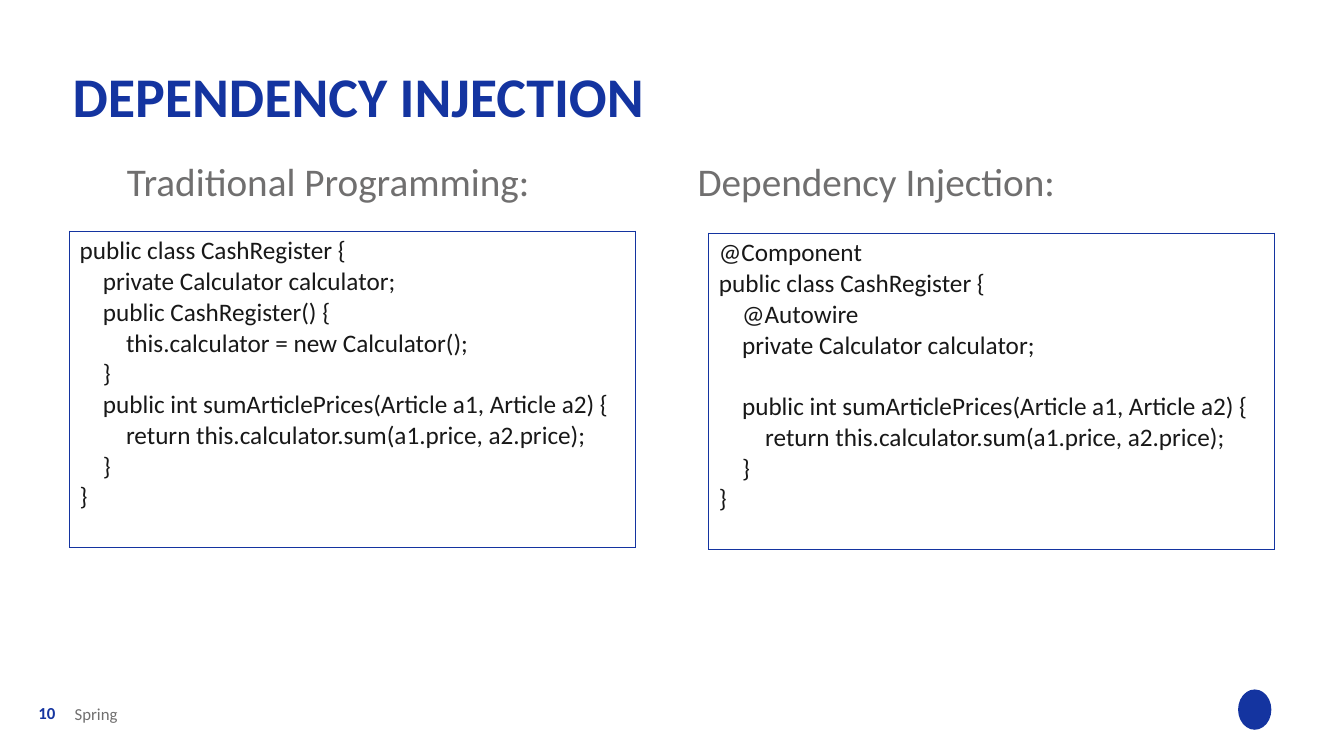
from dataclasses import dataclass

from lxml.etree import SubElement
from pptx import Presentation
from pptx.dml.color import RGBColor
from pptx.enum.shapes import MSO_SHAPE
from pptx.enum.text import MSO_ANCHOR
from pptx.oxml.ns import qn
from pptx.util import Inches, Pt


@dataclass(frozen=True)
class Theme:
    font: str = "Calibri"
    blue: RGBColor = RGBColor(0x14, 0x34, 0xA0)
    grey: RGBColor = RGBColor(0x70, 0x6F, 0x6F)
    ink: RGBColor = RGBColor(0x18, 0x18, 0x18)
    white: RGBColor = RGBColor(0xFF, 0xFF, 0xFF)
    title_size: Pt = Pt(40)
    heading_size: Pt = Pt(28)
    code_size: Pt = Pt(18)
    footer_size: Pt = Pt(12)
    border_width: Pt = Pt(0.5)
    code_indent: Inches = Inches(0.23)
    code_gap: Pt = Pt(22)


THEME = Theme()

# Each code line is (indent level, text); None leaves a one-line gap
SUM_METHOD = [
    (1, "public int sumArticlePrices(Article a1, Article a2) {"),
    (2, "return this.calculator.sum(a1.price, a2.price);"),
    (1, "}"),
    (0, "}"),
]
TRADITIONAL_CODE = [
    (0, "public class CashRegister {"),
    (1, "private Calculator calculator;"),
    (1, "public CashRegister() {"),
    (2, "this.calculator = new Calculator();"),
    (1, "}"),
    *SUM_METHOD,
]
INJECTION_CODE = [
    (0, "@Component"),
    (0, "public class CashRegister {"),
    (1, "@Autowire"),
    (1, "private Calculator calculator;"),
    None,
    *SUM_METHOD,
]


def add_run(paragraph, text, size, color, bold=False):
    run = paragraph.add_run()
    run.text = text
    run.font.name = THEME.font
    run.font.size = size
    run.font.bold = bold
    run.font.color.rgb = color


def add_label(slide, box, text, size, color, bold=False,
              anchor=MSO_ANCHOR.MIDDLE, line_spacing=None):
    shape = slide.shapes.add_textbox(*map(Inches, box))
    frame = shape.text_frame
    frame.word_wrap = True
    frame.vertical_anchor = anchor
    frame.margin_left = frame.margin_right = 0
    frame.margin_top = frame.margin_bottom = 0
    paragraph = frame.paragraphs[0]
    paragraph.line_spacing = line_spacing
    add_run(paragraph, text, size, color, bold)


def set_borders(cell):
    properties = cell._tc.get_or_add_tcPr()
    for position, side in enumerate(("lnL", "lnR", "lnT", "lnB")):
        line = SubElement(properties, qn(f"a:{side}"), w=str(int(THEME.border_width)))
        fill = SubElement(line, qn("a:solidFill"))
        SubElement(fill, qn("a:srgbClr"), val=str(THEME.blue))
        properties.insert(position, line)


def add_code_table(slide, left, top, code):
    table = slide.shapes.add_table(
        1, 1, Inches(left), Inches(top), Inches(5.61), Inches(3.14)).table
    table.first_row = False
    table.horz_banding = False
    cell = table.cell(0, 0)
    cell.fill.solid()
    cell.fill.fore_color.rgb = THEME.white
    set_borders(cell)

    paragraph = cell.text_frame.paragraphs[0]
    gap_before = False
    for index, line in enumerate(code):
        if line is None:
            gap_before = True
            continue
        if index:
            paragraph = cell.text_frame.add_paragraph()
        level, text = line
        paragraph._p.get_or_add_pPr().set("marL", str(level * THEME.code_indent))
        if gap_before:
            paragraph.space_before = THEME.code_gap
            gap_before = False
        add_run(paragraph, text, THEME.code_size, THEME.ink)


def add_brand_mark(slide):
    mark = slide.shapes.add_shape(
        MSO_SHAPE.OVAL, Inches(12.28), Inches(6.84), Inches(0.33), Inches(0.4))
    mark.shadow.inherit = False
    mark.fill.solid()
    mark.fill.fore_color.rgb = THEME.blue
    mark.line.fill.background()


def main():
    presentation = Presentation()
    presentation.slide_width = Inches(13.33)
    presentation.slide_height = Inches(7.5)
    slide = presentation.slides.add_slide(presentation.slide_layouts[6])

    # Title
    add_label(slide, (0.72, 0.56, 9.81, 0.93), "DEPENDENCY INJECTION",
              THEME.title_size, THEME.blue, bold=True, line_spacing=0.7)

    # Two columns: heading above code
    columns = [
        (1.26, "Traditional Programming:", 0.69, 2.29, TRADITIONAL_CODE),
        (6.92, "Dependency Injection:", 7.03, 2.31, INJECTION_CODE),
    ]
    for heading_left, heading, table_left, table_top, code in columns:
        add_label(slide, (heading_left, 1.69, 5, 0.4), heading,
                  THEME.heading_size, THEME.grey,
                  anchor=MSO_ANCHOR.TOP, line_spacing=Pt(24))
        add_code_table(slide, table_left, table_top, code)

    # Footer
    add_label(slide, (0.38, 6.97, 0.3, 0.21), "10",
              THEME.footer_size, THEME.blue, bold=True)
    add_label(slide, (0.74, 6.97, 9.75, 0.21), "Spring",
              THEME.footer_size, THEME.grey, anchor=MSO_ANCHOR.BOTTOM)
    add_brand_mark(slide)

    presentation.save("out.pptx")


if __name__ == "__main__":
    main()
